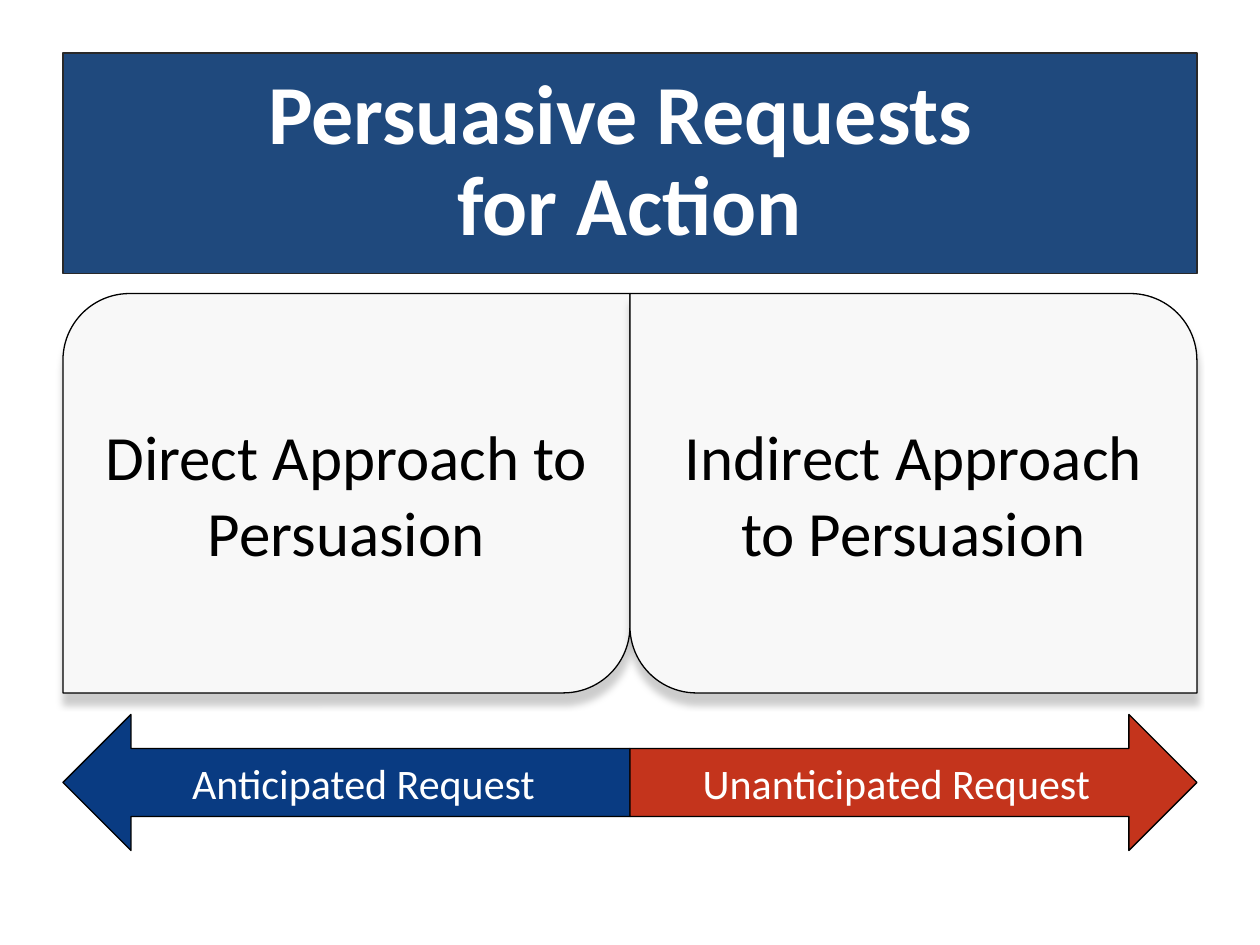
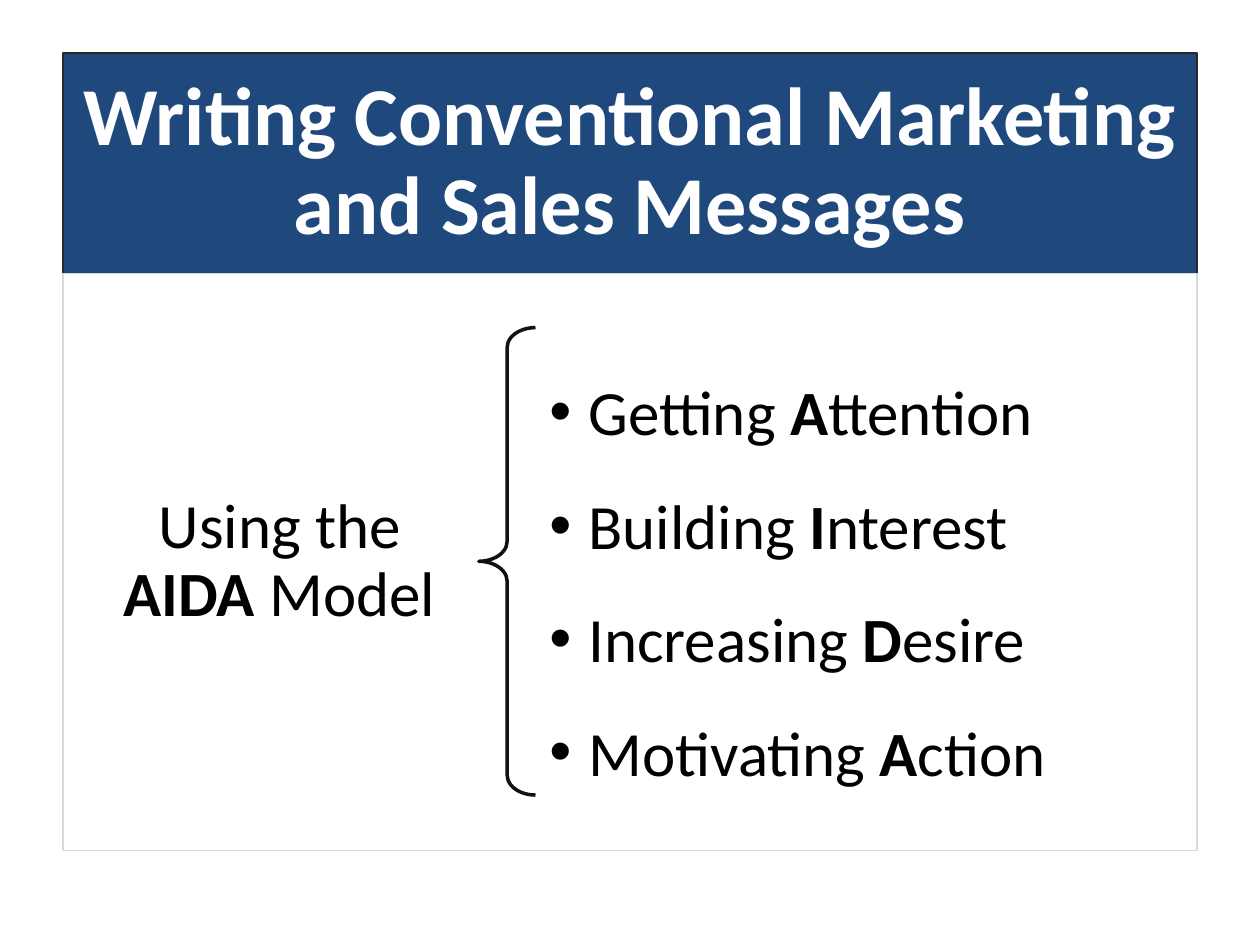
import dataclasses

import lxml.etree
import pptx
import pptx.dml.color
import pptx.enum.shapes
import pptx.enum.text
import pptx.oxml.ns
import pptx.presentation
import pptx.shapes.autoshape
import pptx.slide
import pptx.text.text
import pptx.util

SCALE = 9144
FACE = "Calibri"
WHITE, BLACK = "FFFFFF", "000000"
NAVY, EDGE = "1F497D", "292929"
BLUE, RED = "093B82", "C4341C"
PALE, RULE, INK = "F8F8F8", "D9D9D9", "111111"

LEFT, WIDE, FOOT = 50, 900, 675
BAND_TOP, BAND_TALL = 42, 175
HALF = WIDE // 2
FORM = pptx.enum.shapes.MSO_SHAPE
ALIGN = pptx.enum.text.PP_ALIGN


@dataclasses.dataclass(frozen=True)
class Box:
    left: int
    top: int
    wide: int
    tall: int

    def place(self) -> list[pptx.util.Emu]:
        return [px(n) for n in (self.left, self.top, self.wide, self.tall)]


@dataclasses.dataclass(frozen=True)
class Style:
    size: int
    color: str = BLACK
    bold: bool = False


@dataclasses.dataclass(frozen=True)
class Side:
    claim: str
    label: str
    color: str
    arrow: FORM
    curves: tuple[float, float]


@dataclasses.dataclass(frozen=True)
class Step:
    lead: str
    key: str
    rest: str


CURVE = 0.16667
SIDES = (
    Side("Direct Approach to Persuasion", "Anticipated Request",
         BLUE, FORM.LEFT_ARROW, (CURVE, 0)),
    Side("Indirect Approach to Persuasion", "Unanticipated Request",
         RED, FORM.RIGHT_ARROW, (0, CURVE)),
)
STEPS = (
    Step("Getting ", "A", "ttention"),
    Step("Building ", "I", "nterest"),
    Step("Increasing ", "D", "esire"),
    Step("Motivating ", "A", "ction"),
)
BODY = Style(36)


def px(count: int) -> pptx.util.Emu:
    return pptx.util.Emu(count * SCALE)


def tint(code: str) -> pptx.dml.color.RGBColor:
    return pptx.dml.color.RGBColor.from_string(code)


def paint(shape: pptx.shapes.autoshape.Shape, fill: str | None,
          line: str, weight: float) -> None:
    if fill:
        shape.fill.solid()
        shape.fill.fore_color.rgb = tint(fill)
    else:
        shape.fill.background()
    shape.line.color.rgb = tint(line)
    shape.line.width = pptx.util.Pt(weight)


def draw(slide: pptx.slide.Slide, form: FORM, box: Box, fill: str | None,
         line: str = BLACK, weight: float = 0.75) -> pptx.shapes.autoshape.Shape:
    shape = slide.shapes.add_shape(form, *box.place())
    shape.shadow.inherit = False
    paint(shape, fill, line, weight)
    return shape


def write(para: pptx.text.text._Paragraph, text: str, style: Style) -> None:
    run = para.add_run()
    run.text = text
    run.font.name = FACE
    run.font.size = pptx.util.Pt(style.size)
    run.font.bold = style.bold
    run.font.color.rgb = tint(style.color)


def frame_text(shape: pptx.shapes.autoshape.Shape) -> pptx.text.text.TextFrame:
    frame = shape.text_frame
    frame.word_wrap = True
    frame.auto_size = pptx.enum.text.MSO_AUTO_SIZE.NONE
    frame.vertical_anchor = pptx.enum.text.MSO_ANCHOR.MIDDLE
    return frame


def center(shape: pptx.shapes.autoshape.Shape,
           space: float = 1) -> pptx.text.text._Paragraph:
    para = frame_text(shape).paragraphs[0]
    para.alignment = ALIGN.CENTER
    para.line_spacing = space
    return para


def add_node(parent: lxml.etree._Element, tag: str,
             **attrs: str) -> lxml.etree._Element:
    return lxml.etree.SubElement(parent, pptx.oxml.ns.qn(tag), attrs)


def shade(shape: pptx.shapes.autoshape.Shape) -> None:
    effect = shape.element.spPr.find(pptx.oxml.ns.qn("a:effectLst"))
    outer = add_node(effect, "a:outerShdw", blurRad=str(pptx.util.Pt(4)),
                     dist=str(pptx.util.Pt(6)), dir="5400000", rotWithShape="0")
    color = add_node(outer, "a:srgbClr", val=BLACK)
    add_node(color, "a:alpha", val="20000")


def bullet(para: pptx.text.text._Paragraph, hang: int) -> None:
    props = para._p.get_or_add_pPr()
    props.set("marL", str(px(hang)))
    props.set("indent", str(px(-hang)))
    add_node(props, "a:buFont", typeface="Arial")
    add_node(props, "a:buChar", char="•")


def start(deck: pptx.presentation.Presentation, lines: tuple[str, ...],
          size: int) -> pptx.slide.Slide:
    slide = deck.slides.add_slide(deck.slide_layouts[5])
    title = slide.shapes.title
    box = Box(LEFT, BAND_TOP, WIDE, BAND_TALL)
    title.left, title.top, title.width, title.height = box.place()
    paint(title, NAVY, EDGE, 0.75)
    para = center(title, 0.9)
    for spot, line in enumerate(lines):
        if spot:
            para.add_line_break()
        write(para, line, Style(size, WHITE, True))
    return slide


def build_sides(deck: pptx.presentation.Presentation) -> None:
    slide = start(deck, ("Persuasive Requests ", "for Action"), 48)
    for spot, side in enumerate(SIDES):
        left = LEFT + spot * HALF
        card = draw(slide, FORM.ROUND_2_DIAG_RECTANGLE,
                    Box(left, 233, HALF, 317), PALE)
        card.adjustments[0], card.adjustments[1] = side.curves
        shade(card)
        write(center(card), side.claim, BODY)
        arrow = draw(slide, side.arrow, Box(left, 567, HALF, 108), side.color)
        write(center(arrow), side.label, Style(24, WHITE))


def build_model(deck: pptx.presentation.Presentation) -> None:
    slide = start(deck, ("Writing Conventional Marketing and Sales Messages",), 47)
    top = BAND_TOP + BAND_TALL
    draw(slide, FORM.RECTANGLE, Box(LEFT, top, WIDE, FOOT - top), None, RULE, 1)

    strong = dataclasses.replace(BODY, bold=True)
    label = slide.shapes.add_textbox(*Box(LEFT, 375, 344, 142).place())
    para = center(label, 0.9)
    label.text_frame.margin_left = label.text_frame.margin_right = px(25)
    write(para, "Using the ", BODY)
    write(para, "AIDA", strong)
    write(para, " Model", BODY)

    brace = draw(slide, FORM.LEFT_BRACE, Box(380, 260, 45, 371), None, INK, 2)
    brace.adjustments[0] = 0.35

    panel = slide.shapes.add_textbox(*Box(421, 275, 512, 342).place())
    panel.fill.solid()
    panel.fill.fore_color.rgb = tint(WHITE)
    frame = frame_text(panel)
    frame.margin_left = frame.margin_right = px(15)
    frame.margin_top = frame.margin_bottom = px(15)
    for spot, step in enumerate(STEPS):
        para = frame.add_paragraph() if spot else frame.paragraphs[0]
        bullet(para, 31)
        para.line_spacing = 1.5
        write(para, step.lead, BODY)
        write(para, step.key, strong)
        write(para, step.rest, BODY)


def main() -> None:
    deck = pptx.Presentation()
    deck.slide_width, deck.slide_height = px(1000), px(750)
    build_sides(deck)
    build_model(deck)
    deck.save("out.pptx")


if __name__ == "__main__":
    main()
